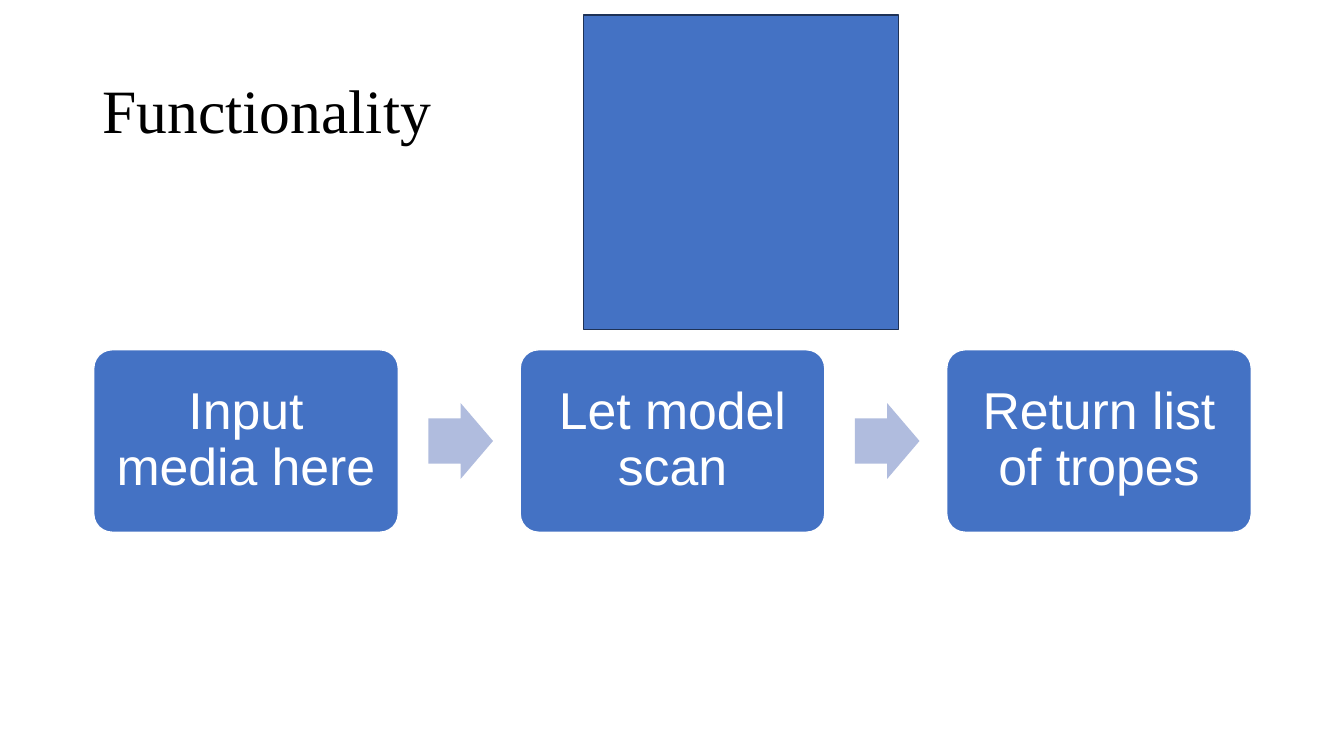
from pptx import Presentation
from pptx.dml.color import RGBColor
from pptx.enum.shapes import MSO_SHAPE
from pptx.enum.text import MSO_ANCHOR, PP_ALIGN
from pptx.util import Inches, Pt

ROUNDED, ARROW, SQUARE = MSO_SHAPE.ROUNDED_RECTANGLE, MSO_SHAPE.RIGHT_ARROW, MSO_SHAPE.RECTANGLE
MIDDLE, CENTER, LEFT = MSO_ANCHOR.MIDDLE, PP_ALIGN.CENTER, PP_ALIGN.LEFT
COLORS = {"white": "FFFFFF", "black": "000000", "blue": "4472C4", "pale": "B0BCDE", "navy": "1E3256"}
STEPS = ["Input media here", "Let model scan", "Return list of tropes"]


def color(name):
    """Return the named colour."""
    return RGBColor.from_string(COLORS[name])


def write(shape, text, font, size, tint, alignment, insets):
    """Fill a shape with one paragraph centred vertically."""
    frame = shape.text_frame
    frame.word_wrap = True
    frame.vertical_anchor = MIDDLE
    frame.margin_left = frame.margin_right = Inches(insets[0])
    frame.margin_top = frame.margin_bottom = Inches(insets[1])
    paragraph = frame.paragraphs[0]
    paragraph.alignment = alignment
    paragraph.line_spacing = 0.9
    run = paragraph.add_run()
    run.text = text
    run.font.name = font
    run.font.size = Pt(size)
    run.font.color.rgb = color(tint)


def add_block(slide, kind, box, fill, line=None):
    """Add a flat preset shape in a box given in inches."""
    shape = slide.shapes.add_shape(kind, *map(Inches, box))
    shape.shadow.inherit = False
    shape.fill.solid()
    shape.fill.fore_color.rgb = color(fill)
    if line:
        shape.line.color.rgb = color(line)
        shape.line.width = Pt(1)
    else:
        shape.line.fill.background()
    return shape


def add_title(slide, box, text):
    """Add the slide heading."""
    title = slide.shapes.add_textbox(*map(Inches, box))
    write(title, text, "Times New Roman", 44, "black", LEFT, (0.1, 0.05))


def add_process(slide, box, steps):
    """Spread the steps evenly across the box, with an arrow in each gap."""
    left, top, width, height = box
    step_width = 3.02
    arrow_width, arrow_height, arrow_gap = 0.64, 0.75, 0.3
    pitch = (width - step_width) / (len(steps) - 1)
    for index, step in enumerate(steps):
        step_left = left + index * pitch
        if index:
            arrow_left = step_left - pitch + step_width + arrow_gap
            arrow_top = top + (height - arrow_height) / 2
            arrow = add_block(slide, ARROW, (arrow_left, arrow_top, arrow_width, arrow_height), "pale")
            arrow.adjustments[0], arrow.adjustments[1] = 0.6, 0.5
        block = add_block(slide, ROUNDED, (step_left, top, step_width, height), "blue", "white")
        block.adjustments[0] = 0.1
        write(block, step, "Arial", 37, "white", CENTER, (0.15, 0.15))


def main():
    """Build and save the presentation."""
    presentation = Presentation()
    presentation.slide_width, presentation.slide_height = Inches(13.33), Inches(7.5)
    slide = presentation.slides.add_slide(presentation.slide_layouts[6])
    add_title(slide, (0.92, 0.4, 11.5, 1.45), "Functionality")
    add_process(slide, (0.93, 3.47, 11.48, 1.81), STEPS)
    add_block(slide, SQUARE, (5.79, 0.15, 3.12, 3.12), "blue", "navy")
    presentation.save("out.pptx")


if __name__ == "__main__":
    main()
